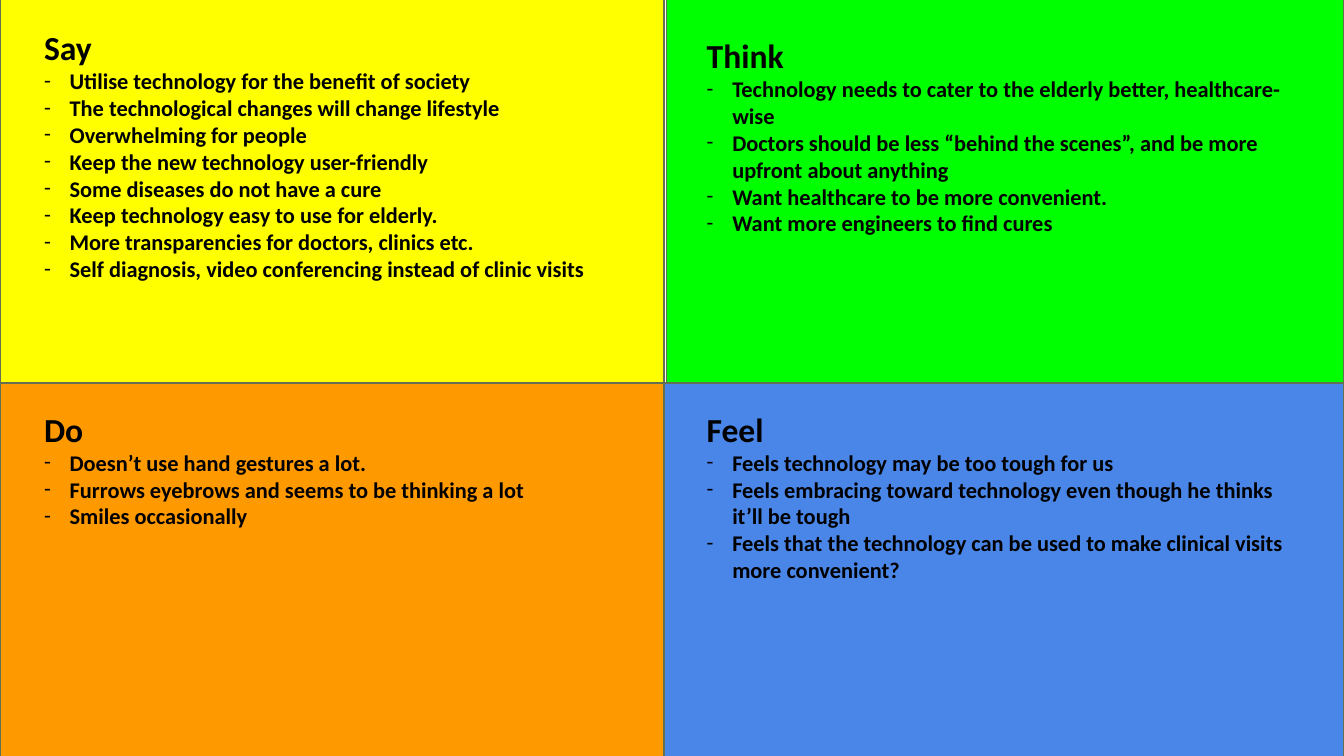
from pptx import Presentation
from pptx.dml.color import RGBColor
from pptx.enum import shapes, text
from pptx.oxml.ns import qn
from pptx.util import Inches, Pt
from lxml import etree

BLACK = RGBColor(0, 0, 0)
OUTLINE = RGBColor(0x63, 0x70, 0x52)
YELLOW = RGBColor(0xFF, 0xFF, 0)
GREEN = RGBColor(0, 0xFF, 0)
ORANGE = RGBColor(0xFF, 0x99, 0)
BLUE = RGBColor(0x4A, 0x86, 0xE8)

# Widescreen 16:9 page
deck = Presentation()
deck.slide_width = Inches(10)
deck.slide_height = Inches(10 * 9 / 16)
page = deck.slides.add_slide(deck.slide_layouts[6])

# Quadrants: panel frame, colour, text frame, heading, points
quadrants = [
    ((0, -0.02, 4.94, 2.87), YELLOW, (0.23, 0.1, 4.46, 0.44), "Say", [
        "Utilise technology for the benefit of society",
        "The technological changes will change lifestyle",
        "Overwhelming for people",
        "Keep the new technology user-friendly",
        "Some diseases do not have a cure",
        "Keep technology easy to use for elderly.",
        "More transparencies for doctors, clinics etc.",
        "Self diagnosis, video conferencing instead of clinic visits"]),
    ((4.96, -0.02, 5.04, 2.96), GREEN, (5.16, 0.16, 4.65, 0.37), "Think", [
        "Technology needs to cater to the elderly better, healthcare-wise",
        "Doctors should be less “behind the scenes”, and be more upfront about anything",
        "Want healthcare to be more convenient.",
        "Want more engineers to find cures"]),
    ((0, 2.85, 4.96, 2.96), ORANGE, (0.23, 2.94, 4.46, 0.37), "Do", [
        "Doesn’t use hand gestures a lot.",
        "Furrows eyebrows and seems to be thinking a lot",
        "Smiles occasionally"]),
    ((4.94, 2.85, 5.06, 2.96), BLUE, (5.16, 2.94, 4.65, 0.37), "Feel", [
        "Feels technology may be too tough for us",
        "Feels embracing toward technology even though he thinks it’ll be tough",
        "Feels that the technology can be used to make clinical visits more convenient?"]),
]

# Coloured panels
for panel_frame, colour, *_ in quadrants:
    panel = page.shapes.add_shape(
        shapes.MSO_SHAPE.RECTANGLE, *map(Inches, panel_frame))
    panel.shadow.inherit = False
    panel.fill.solid()
    panel.fill.fore_color.rgb = colour
    panel.line.color.rgb = OUTLINE
    panel.line.width = Pt(0.75)

# Headings with dashed lists
for _, _, text_frame, heading, points in quadrants:
    box = page.shapes.add_textbox(*map(Inches, text_frame))
    frame = box.text_frame
    frame.word_wrap = True
    frame.vertical_anchor = text.MSO_ANCHOR.TOP
    frame.margin_left = frame.margin_right = Inches(0.1)
    frame.margin_top = frame.margin_bottom = Inches(0.1)
    frame.text = "\n".join([heading, *points])
    for index, para in enumerate(frame.paragraphs):
        font = para.runs[0].font
        font.name = "Calibri"
        font.size = Pt(12 if index else 18)
        font.bold = True
        font.color.rgb = BLACK
        if index:
            props = para._p.get_or_add_pPr()
            props.set("marL", str(Inches(0.19)))
            props.set("indent", str(-Inches(0.19)))
            etree.SubElement(props, qn("a:buFont")).set("typeface", "Calibri")
            etree.SubElement(props, qn("a:buChar")).set("char", "-")

deck.save("out.pptx")
